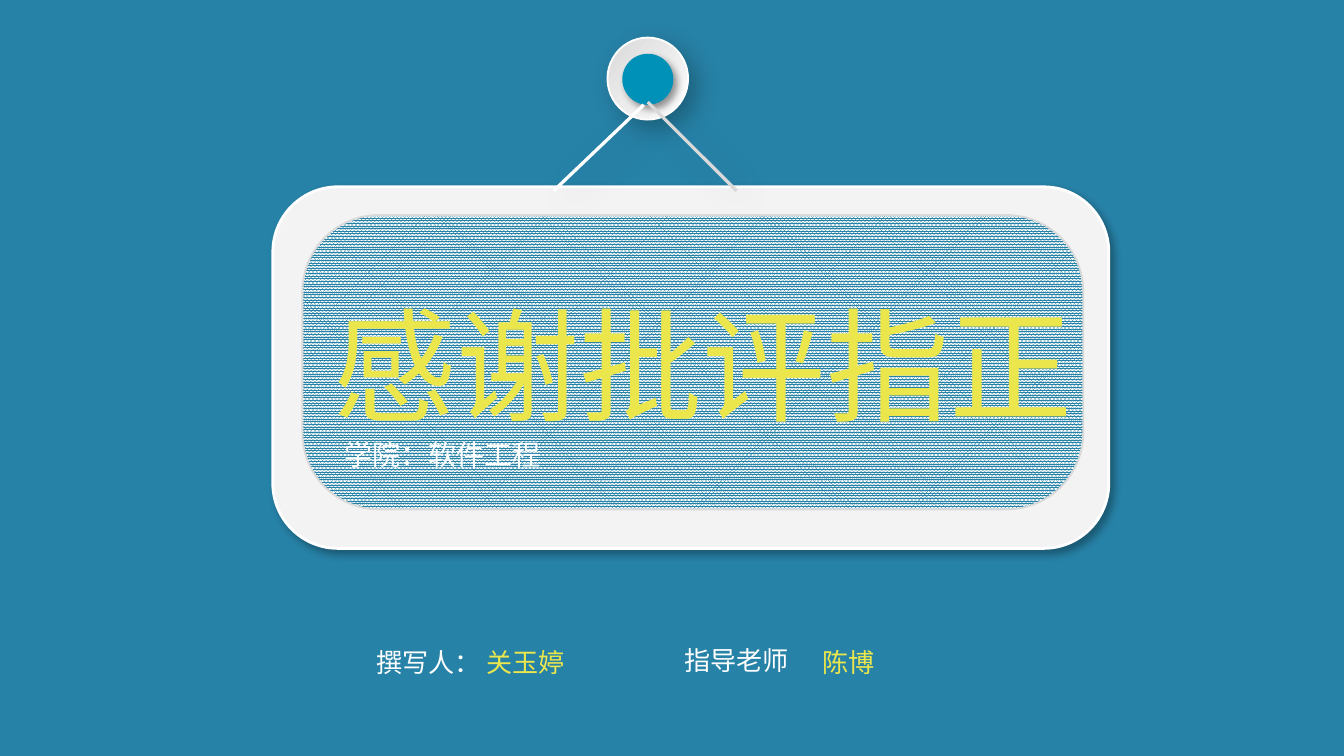
from lxml import etree
from pptx import Presentation
from pptx import util as u
from pptx.dml.color import RGBColor
from pptx.enum import dml, shapes, text
from pptx.oxml.ns import qn

BLUE = RGBColor(0x27, 0x82, 0xA7)
PIN_BLUE = RGBColor(0x00, 0x91, 0xB8)
YELLOW = RGBColor(0xEA, 0xE6, 0x4C)
WHITE = RGBColor(0xFF, 0xFF, 0xFF)
BOARD = RGBColor(0xF3, 0xF3, 0xF3)
GRAY = RGBColor(0xD9, 0xD9, 0xD9)
FONT = "Noto Sans CJK SC"


def cast_shadow(shape, alpha, blur, distance):
    properties = shape._element.spPr
    effects = properties.find(qn("a:effectLst"))
    if effects is None:
        effects = etree.SubElement(properties, qn("a:effectLst"))
    shadow = etree.SubElement(
        effects, qn("a:outerShdw"), blurRad=str(u.Pt(blur)), dist=str(u.Pt(distance)),
        dir="2700000", algn="tl", rotWithShape="0")
    color = etree.SubElement(shadow, qn("a:srgbClr"), val="000000")
    etree.SubElement(color, qn("a:alpha"), val=str(alpha * 1000))


def write(box, wording, place, size, color, align, spacing):
    box.left, box.top, box.width, box.height = map(u.Inches, place)
    frame = box.text_frame
    frame.text = wording
    frame_format = {
        "word_wrap": True,
        "auto_size": text.MSO_AUTO_SIZE.SHAPE_TO_FIT_TEXT,
        "vertical_anchor": text.MSO_ANCHOR.TOP,
        "margin_left": u.Inches(0.07), "margin_right": u.Inches(0.07),
        "margin_top": u.Inches(0.04), "margin_bottom": u.Inches(0.04),
    }
    for name, value in frame_format.items():
        setattr(frame, name, value)
    para = frame.paragraphs[0]
    para.alignment = align
    para.line_spacing = spacing
    span = para.runs[0]
    for name, value in {"name": FONT, "size": u.Pt(size), "bold": False}.items():
        setattr(span.font, name, value)
    span.font.color.rgb = color
    etree.SubElement(span.font._element, qn("a:ea"), typeface=FONT)


deck = Presentation()
deck.slide_width = u.Inches(10)
deck.slide_height = deck.slide_width * 9 // 16
page = deck.slides.add_slide(deck.slide_layouts[5])
page.background.fill.solid()
page.background.fill.fore_color.rgb = BLUE

OVAL = shapes.MSO_SHAPE.OVAL
ROUNDED = shapes.MSO_SHAPE.ROUNDED_RECTANGLE
parts = [
    (OVAL, (4.52, 0.28, 0.6, 0.61), None, "gradient", (WHITE, 1), (25, 13, 6)),
    (OVAL, (4.63, 0.4, 0.38, 0.38), None, PIN_BLUE, None, (40, 4, 3)),
    (ROUNDED, (2.03, 1.39, 6.22, 2.69), 0.18, BOARD, (WHITE, 1.5), (29, 4, 3)),
    (ROUNDED, (2.25, 1.6, 5.81, 2.19), 0.26, "pattern", (GRAY, 1), None),
]
for kind, place, rounding, paint, outline, shadow in parts:
    part = page.shapes.add_shape(kind, *map(u.Inches, place))
    part.shadow.inherit = False
    if rounding:
        part.adjustments[0] = rounding
    if paint == "gradient":
        part.fill.gradient()
        part.fill.gradient_angle = 315
        for stop, color in zip(part.fill.gradient_stops, (GRAY, WHITE)):
            stop.color.rgb = color
    elif paint == "pattern":
        part.fill.patterned()
        part.fill.pattern = dml.MSO_PATTERN.PERCENT_90
        part.fill.fore_color.rgb = BLUE
        part.fill.back_color.rgb = WHITE
    else:
        part.fill.solid()
        part.fill.fore_color.rgb = paint
    if outline:
        part.line.color.rgb, part.line.width = outline[0], u.Pt(outline[1])
    else:
        part.line.fill.background()
    if shadow:
        cast_shadow(part, *shadow)

strings = [((4.12, 1.42, 4.79, 0.78), WHITE), ((4.82, 0.76, 5.48, 1.42), GRAY)]
for ends, color in strings:
    string = page.shapes.add_connector(shapes.MSO_CONNECTOR.STRAIGHT, *map(u.Inches, ends))
    string.line.color.rgb = color
    string.line.width = u.Pt(1.75)
    cast_shadow(string, 15, 20, 8)

LEFT, JUSTIFY = text.PP_ALIGN.LEFT, text.PP_ALIGN.JUSTIFY
title = page.shapes.title
page.shapes._spTree.append(title._element)
write(title, "感谢批评指正", (2.41, 2.11, 5.65, 1.19), 66, YELLOW, LEFT, 1.0)

captions = [
    ("学院：软件工程", (2.49, 3.09, 2.79, 0.41), 15, WHITE, LEFT),
    ("陈博", (6.05, 4.65, 1, 0.39), 14, YELLOW, LEFT),
    ("指导老师", (5.02, 4.64, 0.98, 0.43), 14, WHITE, JUSTIFY),
    ("撰写人：", (2.73, 4.65, 0.98, 0.39), 14, WHITE, JUSTIFY),
    ("关玉婷", (3.55, 4.65, 1, 0.39), 14, YELLOW, LEFT),
]
for wording, place, size, color, align in captions:
    box = page.shapes.add_textbox(*map(u.Inches, place))
    write(box, wording, place, size, color, align, 1.5)

deck.save("out.pptx")
